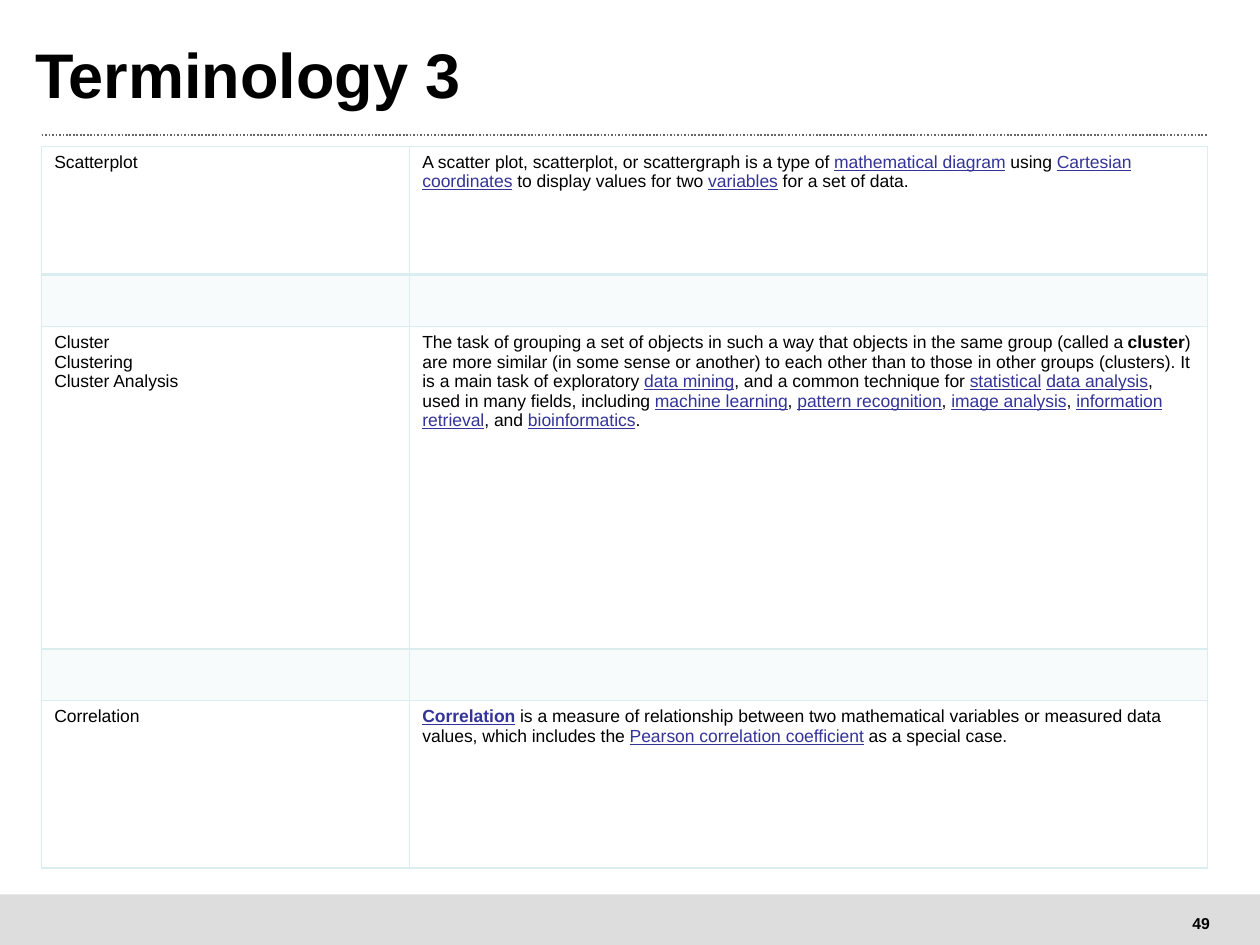
"""Build the Terminology 3 slide: a glossary table under a ruled title."""
from lxml.etree import SubElement
from pptx import Presentation
from pptx.dml.color import RGBColor
from pptx.enum.dml import MSO_LINE
from pptx.enum.shapes import MSO_CONNECTOR, MSO_SHAPE
from pptx.enum.text import MSO_ANCHOR, PP_ALIGN
from pptx.oxml.ns import qn
from pptx.util import Cm, Pt

COLORS = {"text": "000000", "link": "333399", "rule": "666666",
          "footer": "DDDDDD", "band": "DAEDEF"}
LINK = {"color": "link", "underline": True}
BOLD = {"bold": True}
TITLE = "Terminology 3"
PAGE = "49"
TERMS = [
    (["Scatterplot"], [
        ("A scatter plot, scatterplot, or scattergraph is a type of ", {}),
        ("mathematical diagram", LINK), (" using ", {}),
        ("Cartesian coordinates", LINK), (" to display values for two ", {}),
        ("variables", LINK), (" for a set of data.", {})]),
    (["Cluster", "Clustering", "Cluster Analysis"], [
        ("The task of grouping a set of objects in such a way that objects "
         "in the same group (called a ", {}), ("cluster", BOLD),
        (") are more similar (in some sense or another) to each other than to "
         "those in other groups (clusters). It is a main task of exploratory ", {}),
        ("data mining", LINK), (", and a common technique for ", {}),
        ("statistical", LINK), (" ", {}), ("data analysis", LINK),
        (", used in many fields, including ", {}), ("machine learning", LINK),
        (", ", {}), ("pattern recognition", LINK), (", ", {}),
        ("image analysis", LINK), (", ", {}), ("information retrieval", LINK),
        (", and ", {}), ("bioinformatics", LINK), (".", {})]),
    (["Correlation"], [
        ("Correlation", {**LINK, **BOLD}),
        (" is a measure of relationship between two mathematical variables or "
         "measured data values, which includes the ", {}),
        ("Pearson correlation coefficient", LINK), (" as a special case.", {})]),
]
COL_WIDTHS = [7.42, 16.08]
ROW_HEIGHTS = [2.59, 1.04, 6.5, 1.04, 3.38]
LEFT, TOP = 0.84, 2.95
WIDTH = sum(COL_WIDTHS)


def rgb(name):
    return RGBColor.from_string(COLORS[name])


def add_run(p, text, size=10, color="text", bold=False, underline=False):
    r = p.add_run()
    r.text = text
    r.font.name, r.font.size = "Arial", Pt(size)
    r.font.bold, r.font.underline = bold, underline
    r.font.color.rgb = rgb(color)


def add_text(s, box, text, inset=None, wrap=True, align=PP_ALIGN.LEFT,
             spacing=1.0, **font):
    tf = s.shapes.add_textbox(*map(Cm, box)).text_frame
    tf.word_wrap, tf.vertical_anchor = wrap, MSO_ANCHOR.MIDDLE
    if inset is not None:
        tf.margin_left = tf.margin_right = Cm(inset)
        tf.margin_top = tf.margin_bottom = Cm(inset)
    p = tf.paragraphs[0]
    p.alignment, p.line_spacing = align, spacing
    add_run(p, text, **font)


def set_border(cell, side, points):
    ln = SubElement(cell._tc.get_or_add_tcPr(), qn(f"a:ln{side}"), w=str(Pt(points)))
    fill = SubElement(ln, qn("a:solidFill"))
    SubElement(fill, qn("a:srgbClr"), val=COLORS["band"])


def style_cell(cell, row):
    widths = {"L": 1, "R": 1, "T": 2 if row == 1 else 1, "B": 2 if row == 0 else 1}
    for side, points in widths.items():
        set_border(cell, side, points)
    if row % 2:
        cell.fill.solid()
        cell.fill.fore_color.rgb = rgb("band")
        clr = cell._tc.tcPr.find(qn("a:solidFill")).find(qn("a:srgbClr"))
        SubElement(clr, qn("a:alpha"), val="20000")
    else:
        cell.fill.background()


def fill_cell(cell, paragraphs):
    tf = cell.text_frame
    for i, runs in enumerate(paragraphs):
        p = tf.add_paragraph() if i else tf.paragraphs[0]
        for text, font in runs:
            add_run(p, text, **font)


def add_terms(s):
    table = s.shapes.add_table(
        len(ROW_HEIGHTS), len(COL_WIDTHS), Cm(LEFT), Cm(TOP),
        Cm(WIDTH), Cm(sum(ROW_HEIGHTS))).table
    table.first_row = table.horz_banding = False
    for col, width in zip(table.columns, COL_WIDTHS):
        col.width = Cm(width)
    for i, (row, height) in enumerate(zip(table.rows, ROW_HEIGHTS)):
        row.height = Cm(height)
        for cell in row.cells:
            style_cell(cell, i)
    for i, (names, definition) in enumerate(TERMS):
        fill_cell(table.cell(2 * i, 0), [[(name, {})] for name in names])
        fill_cell(table.cell(2 * i, 1), [definition])


def main():
    prs = Presentation()
    prs.slide_width, prs.slide_height = Cm(25.4), Cm(19.05)
    s = prs.slides.add_slide(prs.slide_layouts[6])

    footer = s.shapes.add_shape(MSO_SHAPE.RECTANGLE, 0, Cm(18.03), Cm(25.4), Cm(1.02))
    footer.shadow.inherit = False
    footer.fill.solid()
    footer.fill.fore_color.rgb = rgb("footer")
    footer.line.fill.background()
    add_text(s, (23.77, 18.29, 0.89, 0.64), PAGE, wrap=False,
             align=PP_ALIGN.CENTER, size=9, bold=True)

    rule = s.shapes.add_connector(MSO_CONNECTOR.STRAIGHT, Cm(LEFT), Cm(2.72),
                                  Cm(LEFT + WIDTH), Cm(2.72))
    rule.line.color.rgb, rule.line.width = rgb("rule"), Pt(1)
    rule.line.dash_style = MSO_LINE.ROUND_DOT
    SubElement(rule._element.spPr, qn("a:effectLst"))

    add_text(s, (0.71, 0.64, 23.55, 1.98), TITLE, inset=0, spacing=0.8,
             size=36, bold=True)
    add_terms(s)
    prs.save("out.pptx")


if __name__ == "__main__":
    main()
